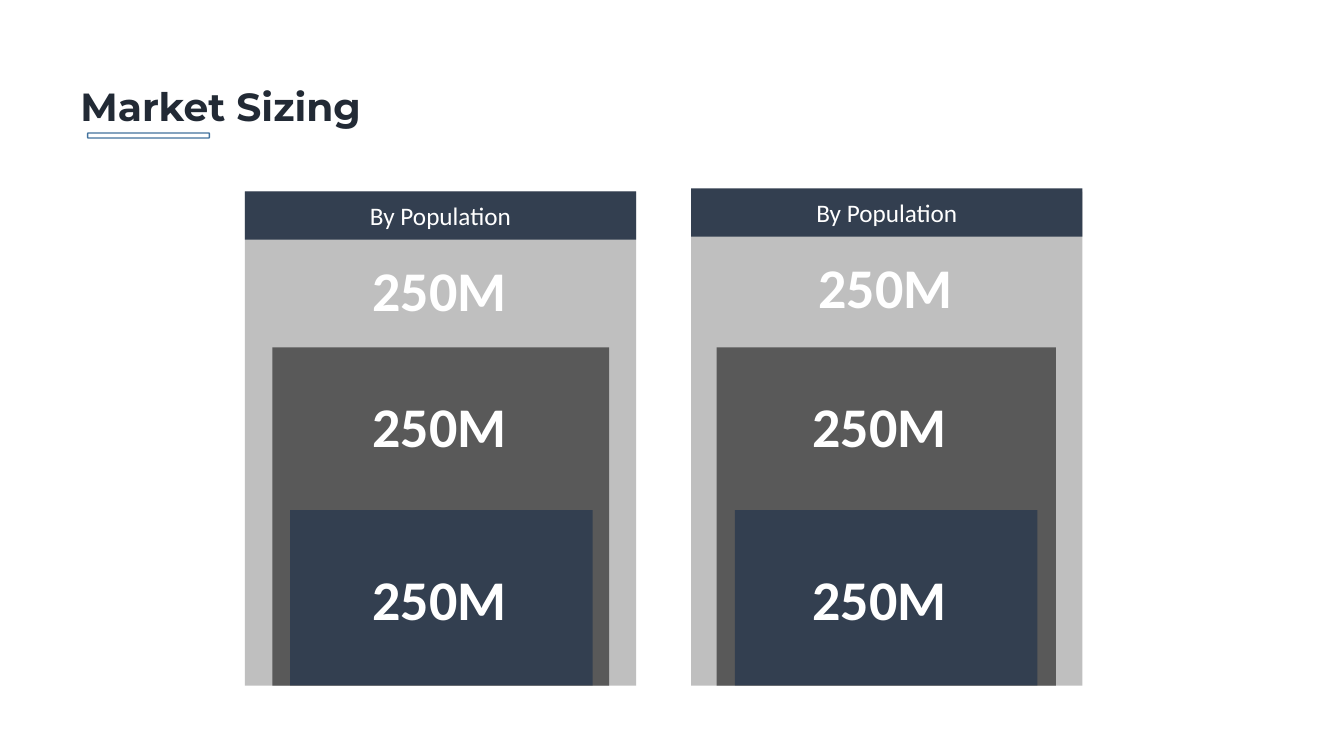
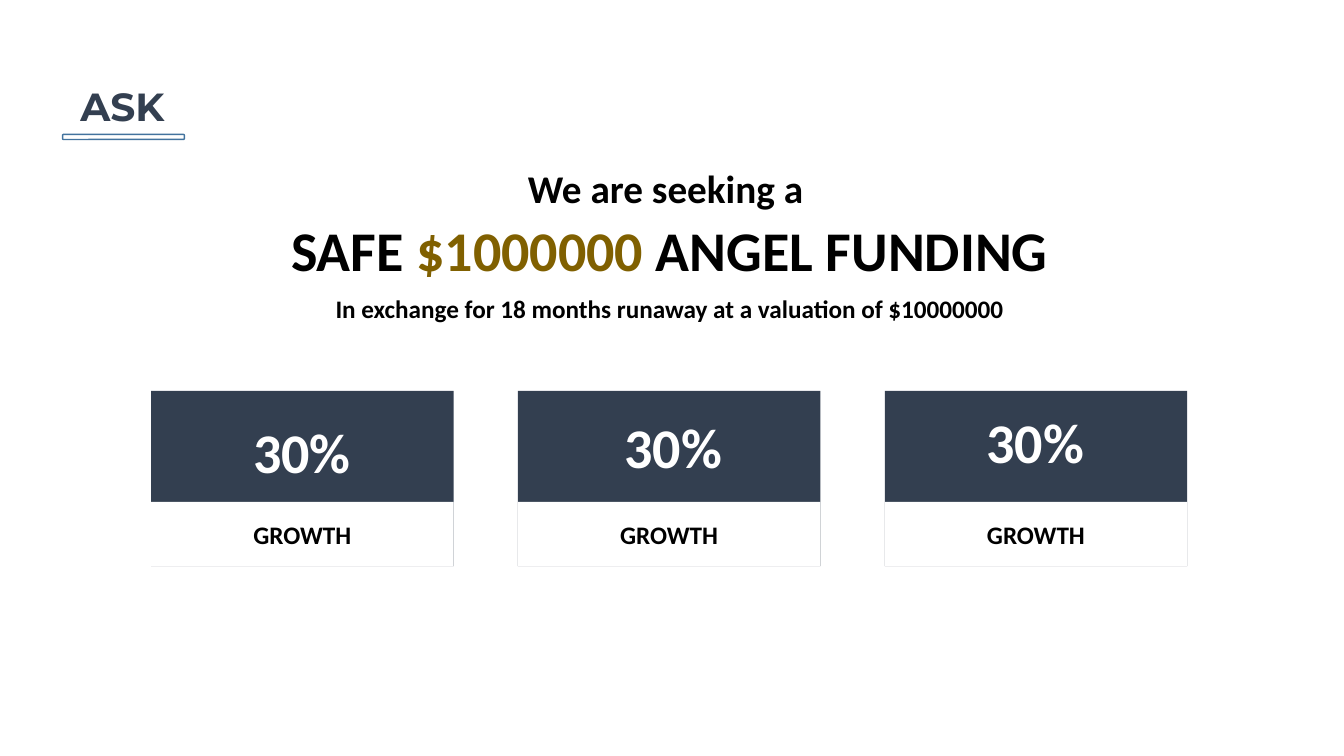
from dataclasses import dataclass

from pptx import Presentation
from pptx.dml.color import RGBColor
from pptx.enum.shapes import MSO_SHAPE as Preset
from pptx.enum.text import MSO_ANCHOR as Anchor, MSO_AUTO_SIZE as AutoSize, PP_ALIGN as Align
from pptx.shapes.autoshape import Shape
from pptx.slide import Slide
from pptx.util import Pt

COLORS = {
    "ink": "222A35",
    "navy": "333F50",
    "rule": "43739E",
    "silver": "BFBFBF",
    "graphite": "595959",
    "gold": "806000",
    "black": "000000",
    "white": "FFFFFF",
}
BODY_FONT = "Calibri"
TITLE_FONT = "Montserrat"
FIGURE_SIZE = 40
CARD_WIDTH = 216
CARD_HEIGHT = 125.3


@dataclass(frozen=True)
class Frame:
    """A rectangle in points."""
    left: float
    top: float
    width: float
    height: float

    def lengths(self) -> tuple[Pt, Pt, Pt, Pt]:
        return Pt(self.left), Pt(self.top), Pt(self.width), Pt(self.height)


@dataclass(frozen=True)
class Span:
    text: str
    color: str = "black"


@dataclass(frozen=True)
class Tier:
    frame: Frame
    color: str
    figure: str
    figure_left: float
    figure_top: float


@dataclass(frozen=True)
class Market:
    header: str
    header_top: float
    tiers: tuple[Tier, ...]


@dataclass(frozen=True)
class Card:
    figure: str
    label: str
    figure_left: float
    figure_top: float


MARKETS = (
    Market("By Population", 136.8, (
        Tier(Frame(174.9, 136.8, 279.5, 353), "silver", "250M", 259, 179),
        Tier(Frame(194.5, 248.2, 240.7, 241.6), "graphite", "250M", 259, 276),
        Tier(Frame(207.3, 364.4, CARD_WIDTH, CARD_HEIGHT), "navy", "250M", 259, 399.5),
    )),
    Market("By Population", 134.6, (
        Tier(Frame(493.7, 136.8, 279.5, 353), "silver", "250M", 577.5, 176.5),
        Tier(Frame(511.8, 248.2, 242.5, 241.6), "graphite", "250M", 573.3, 276),
        Tier(Frame(525, 364.4, CARD_WIDTH, CARD_HEIGHT), "navy", "250M", 573.3, 399.5),
    )),
)

CARDS = (
    Card("30%", "GROWTH", 173.8, 294.5),
    Card("30%", "GROWTH", 439, 291),
    Card("30%", "GROWTH", 697.7, 287.3),
)


def rgb(color: str) -> RGBColor:
    return RGBColor.from_string(COLORS[color])


def write_spans(shape: Shape, spans: tuple[Span, ...], *, size: float,
                font: str = BODY_FONT, bold: bool = True,
                align: Align = Align.LEFT, line_spacing: float | None = None) -> None:
    para = shape.text_frame.paragraphs[0]
    para.alignment = align
    if line_spacing:
        para.line_spacing = line_spacing
    for span in spans:
        run = para.add_run()
        run.text = span.text
        run.font.name = font
        run.font.size = Pt(size)
        run.font.bold = bold
        run.font.color.rgb = rgb(span.color)


def add_label(page: Slide, frame: Frame, *spans: Span, size: float,
              font: str = BODY_FONT, line_spacing: float | None = None) -> None:
    """Add a bold text box that grows with its single line."""
    box = page.shapes.add_textbox(*frame.lengths())
    box.text_frame.word_wrap = False
    box.text_frame.auto_size = AutoSize.SHAPE_TO_FIT_TEXT
    write_spans(box, spans, size=size, font=font, line_spacing=line_spacing)


def add_block(page: Slide, frame: Frame, fill: str | None, *,
              preset: Preset = Preset.RECTANGLE, line: str | None = None) -> Shape:
    block = page.shapes.add_shape(preset, *frame.lengths())
    block.shadow.inherit = False
    if fill:
        block.fill.solid()
        block.fill.fore_color.rgb = rgb(fill)
    else:
        block.fill.background()
    if line:
        block.line.color.rgb = rgb(line)
        block.line.width = Pt(1)
    else:
        block.line.fill.background()
    return block


def add_caption(page: Slide, frame: Frame, fill: str, span: Span, *, bold: bool) -> None:
    """Add a filled band with centred text."""
    band = add_block(page, frame, fill)
    band.text_frame.word_wrap = True
    band.text_frame.vertical_anchor = Anchor.MIDDLE
    write_spans(band, (span,), size=18, bold=bold, align=Align.CENTER)


def add_title(page: Slide, title: Span, *, width: float,
              rule_left: float, rule_top: float) -> None:
    add_label(page, Frame(50.4, 50.4, width, 44), title, size=28,
              font=TITLE_FONT, line_spacing=1.15)
    add_block(page, Frame(rule_left, rule_top, 87, 3.6), None,
              preset=Preset.ROUNDED_RECTANGLE, line="rule")


def add_market(page: Slide, market: Market) -> None:
    for tier in market.tiers:
        add_block(page, tier.frame, tier.color)
        add_label(page, Frame(tier.figure_left, tier.figure_top, 111, 55.7),
                  Span(tier.figure, "white"), size=FIGURE_SIZE)
    outer = market.tiers[0].frame
    add_caption(page, Frame(outer.left, market.header_top, outer.width, 34.4), "navy",
                Span(market.header, "white"), bold=False)


def add_card(page: Slide, card: Card, left: float) -> None:
    top, label_height = 279.2, 46
    add_block(page, Frame(left, top, CARD_WIDTH, CARD_HEIGHT), "navy")
    label_top = top + CARD_HEIGHT - label_height
    add_caption(page, Frame(left, label_top, CARD_WIDTH, label_height), "white",
                Span(card.label), bold=True)
    add_label(page, Frame(card.figure_left, card.figure_top, 84.2, 55.7),
              Span(card.figure, "white"), size=FIGURE_SIZE)


def build_market_slide(page: Slide) -> None:
    add_title(page, Span("Market Sizing", "ink"), width=224.6, rule_left=62.6, rule_top=95)
    for market in MARKETS:
        add_market(page, market)


def build_ask_slide(page: Slide) -> None:
    add_title(page, Span("ASK", "navy"), width=80.6, rule_left=44.7, rule_top=96)
    add_label(page, Frame(370, 113.8, 213.8, 41.2), Span("We are seeking a"), size=28)
    add_label(page, Frame(200.9, 150.5, 560.2, 55.7), Span("SAFE "),
              Span("$1000000 ", "gold"), Span("ANGEL FUNDING"), size=FIGURE_SIZE)
    add_label(page, Frame(232.6, 206, 496, 29),
              Span("In exchange for 18 months runaway at a valuation of $10000000"), size=18)
    for index, card in enumerate(CARDS):
        add_card(page, card, 108 + index * 262)


def main() -> None:
    deck = Presentation()
    deck.slide_width, deck.slide_height = Pt(960), Pt(540)
    blank = deck.slide_layouts[6]
    for build in (build_market_slide, build_ask_slide):
        build(deck.slides.add_slide(blank))
    deck.save("out.pptx")


if __name__ == "__main__":
    main()
